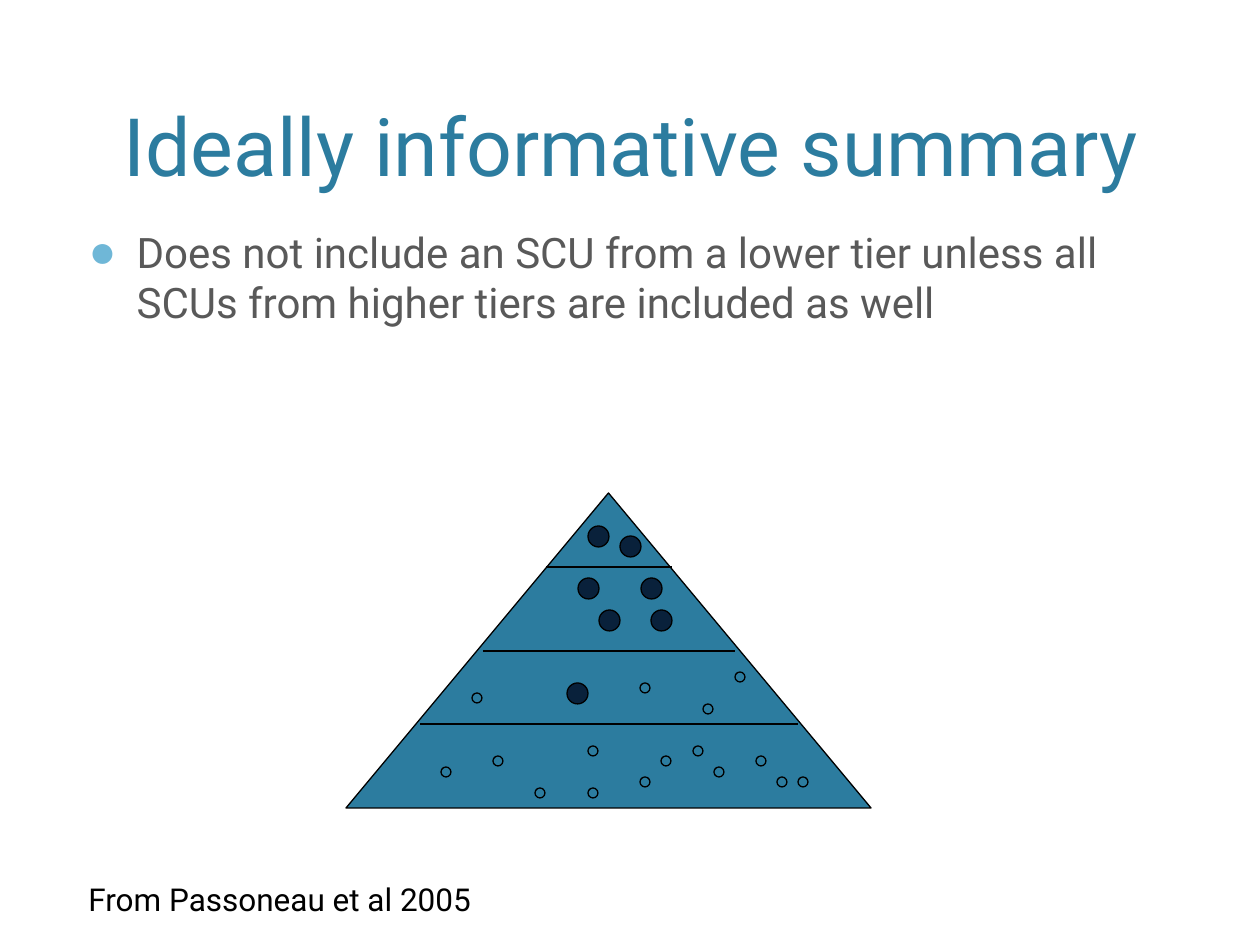
from lxml import etree
from pptx import Presentation
from pptx.dml.color import RGBColor
from pptx.enum.shapes import MSO_CONNECTOR, MSO_SHAPE
from pptx.enum.text import MSO_ANCHOR, MSO_AUTO_SIZE, PP_ALIGN
from pptx.oxml.ns import qn
from pptx.util import Emu, Pt

TRIANGLE, OVAL = MSO_SHAPE.ISOSCELES_TRIANGLE, MSO_SHAPE.OVAL
STRAIGHT = MSO_CONNECTOR.STRAIGHT
BOTTOM, TOP = MSO_ANCHOR.BOTTOM, MSO_ANCHOR.TOP
CENTER, LEFT = PP_ALIGN.CENTER, PP_ALIGN.LEFT
NO_FIT, FIT_SHAPE = MSO_AUTO_SIZE.NONE, MSO_AUTO_SIZE.SHAPE_TO_FIT_TEXT

TEAL = RGBColor(0x2C, 0x7C, 0x9F)
NAVY = RGBColor(0x09, 0x21, 0x3B)
GRAY = RGBColor(0x59, 0x59, 0x59)
BLACK = RGBColor(0, 0, 0)
BULLET_COLOR = "6FB7D7"
FONT = "Roboto"
LINE_WIDTH = Pt(0.75)

EMU_PER_PIXEL = 914400 / 126
SLIDE_SIZE = (1260, 945)
TITLE_BOX = (76, 15, 1109, 184)
BODY_BOX = (76, 220, 1109, 599)
PYRAMID_BOX = (346, 493, 525, 315)
CAPTION_BOX = (76, 874, 438, 50)

TIER_HEIGHTS = (74, 158, 231)
TIER_STEP = 63
SMALL_DIAMETER, LARGE_DIAMETER = 10, 21
# Dot centers, measured from the top left of the pyramid box.
OMITTED_UNITS = (
    (131, 205), (299, 195), (362, 216), (394, 184),
    (100, 279), (152, 268), (436, 289), (194, 300),
    (247, 258), (247, 300), (299, 289), (320, 268),
    (373, 279), (415, 268), (352, 258), (457, 289),
)
INCLUDED_UNITS = (
    (252, 43), (284, 53), (305, 95), (242, 95),
    (263, 127), (315, 127), (231, 200),
)


def px(*lengths):
    """Turn pixel lengths into a list of EMU lengths."""
    return [Emu(round(length * EMU_PER_PIXEL)) for length in lengths]


def place(shape, box):
    """Move and size a shape to a pixel box."""
    shape.left, shape.top, shape.width, shape.height = px(*box)


def write(shape, text, size, color, align=LEFT, anchor=TOP):
    """Put one formatted paragraph into a shape and return it."""
    frame = shape.text_frame
    frame.word_wrap = True
    frame.auto_size = NO_FIT
    frame.vertical_anchor = anchor
    frame.text = text
    paragraph = frame.paragraphs[0]
    paragraph.alignment = align
    paragraph.font.name = FONT
    paragraph.font.size = Pt(size)
    paragraph.font.color.rgb = color
    return paragraph


def add_bullet(paragraph, indent):
    """Give a paragraph a round coloured bullet with a hanging indent."""
    properties = paragraph._p.get_or_add_pPr()
    hang = px(indent)[0]
    properties.set("marL", str(hang))
    properties.set("indent", str(-hang))
    color = etree.Element(qn("a:buClr"))
    etree.SubElement(color, qn("a:srgbClr"), val=BULLET_COLOR)
    size = etree.Element(qn("a:buSzPct"), val="110000")
    character = etree.Element(qn("a:buChar"), char="●")
    position = len(properties.findall(qn("a:spcBef")))
    for offset, element in enumerate((color, size, character)):
        properties.insert(position + offset, element)


def fill_title(slide, box):
    """Place and format the title."""
    place(slide.shapes.title, box)
    write(slide.shapes.title, "Ideally informative summary", 46, TEAL, CENTER, BOTTOM)


def fill_body(slide, box):
    """Place and format the bulleted statement."""
    body = slide.placeholders[1]
    place(body, box)
    paragraph = write(
        body,
        "Does not include an SCU from a lower tier unless all "
        "SCUs from higher tiers are included as well",
        24, GRAY)
    paragraph.space_before = Pt(20)
    add_bullet(paragraph, 48)


def add_outlined(slide, kind, box, fill):
    """Add a filled shape with a thin black outline."""
    shape = slide.shapes.add_shape(kind, *px(*box))
    shape.shadow.inherit = False
    shape.fill.solid()
    shape.fill.fore_color.rgb = fill
    shape.line.color.rgb = BLACK
    shape.line.width = LINE_WIDTH


def add_tier_line(slide, start, end, y):
    """Add one horizontal line between two tiers."""
    line = slide.shapes.add_connector(STRAIGHT, *px(start, y, end, y))
    line.line.color.rgb = BLACK
    line.line.width = LINE_WIDTH
    etree.SubElement(line._element.spPr, qn("a:effectLst"))


def add_pyramid(slide, box):
    """Draw the tiered pyramid with omitted and included content units."""
    left, top, width, _ = box
    add_outlined(slide, TRIANGLE, box, TEAL)
    middle = left + width // 2 + 1
    for tier, height in enumerate(TIER_HEIGHTS, start=1):
        reach = tier * TIER_STEP
        add_tier_line(slide, middle - reach, middle + reach, top + height)
    for centers, diameter, fill in (
        (OMITTED_UNITS, SMALL_DIAMETER, TEAL),
        (INCLUDED_UNITS, LARGE_DIAMETER, NAVY),
    ):
        radius = diameter // 2
        for x, y in centers:
            dot_box = (left + x - radius, top + y - radius, diameter, diameter)
            add_outlined(slide, OVAL, dot_box, fill)


def add_caption(slide, box):
    """Add the source line below the pyramid."""
    caption = slide.shapes.add_textbox(*px(*box))
    write(caption, "From Passoneau et al 2005", 18, BLACK)
    caption.text_frame.word_wrap = False
    caption.text_frame.auto_size = FIT_SHAPE


def main():
    """Build and save the presentation."""
    presentation = Presentation()
    presentation.slide_width, presentation.slide_height = px(*SLIDE_SIZE)
    slide = presentation.slides.add_slide(presentation.slide_layouts[1])
    fill_title(slide, TITLE_BOX)
    fill_body(slide, BODY_BOX)
    add_pyramid(slide, PYRAMID_BOX)
    add_caption(slide, CAPTION_BOX)
    presentation.save("out.pptx")


main()
